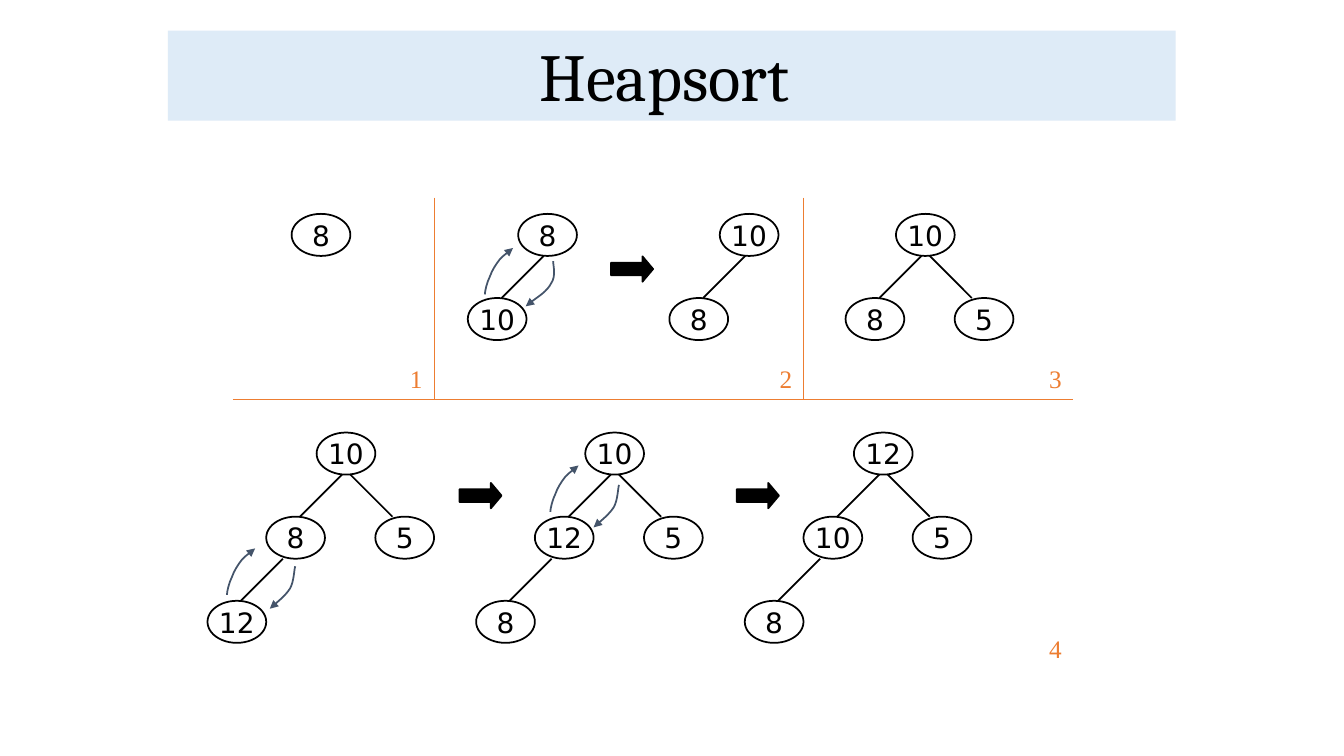
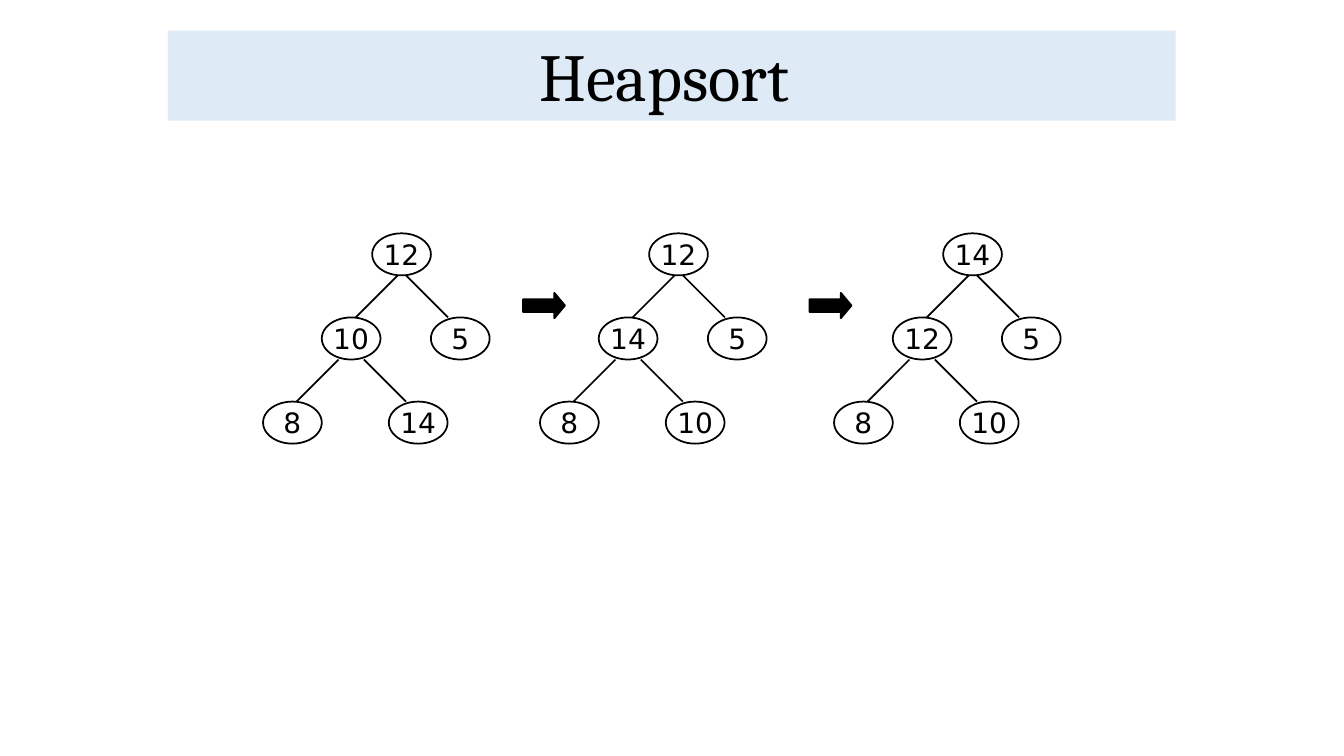
from lxml.etree import SubElement
from pptx import Presentation
from pptx.dml.color import RGBColor
from pptx.enum.shapes import MSO_CONNECTOR as Link, MSO_SHAPE as Shape
from pptx.enum.text import MSO_ANCHOR as Anchor, PP_ALIGN as Align
from pptx.oxml.ns import qn
from pptx.util import Cm, Pt

# Node size and level height
WIDE, HIGH, STEP = 1.48, 1.06, 2.12
# Heap order: node offset from the root, level, edge start, edge direction
SLOTS = [(0, 0, 0, 0), (-1.27, 1, 0.64, -1), (1.48, 1, 0.85, 1),
         (-2.75, 2, -0.85, -1), (0.42, 2, -0.21, 1)]
# Bezier points of the swap arrows, from their start
RISE = [(0, -0.08), (0.05, -0.3), (0.13, -0.46), (0.18, -0.61), (0.28, -0.76),
        (0.38, -0.89), (0.48, -0.99), (0.63, -1.1), (0.71, -1.17)]
FALL = [(-0.03, 0.1), (-0.03, 0.38), (-0.13, 0.56),
        (-0.25, 0.74), (-0.53, 0.97), (-0.64, 1.07)]
BULGE = [(0, 0.1), (0.08, 0.38), (-0.05, 0.56),
         (-0.15, 0.76), (-0.56, 1.02), (-0.69, 1.14)]


def color(code):
    return RGBColor.from_string(code)


class Deck:
    INK, BAND, RULE, SWAP = "000000", "DEEBF7", "ED7D31", "44546A"

    def __init__(self):
        self.prs = Presentation()
        self.prs.slide_width, self.prs.slide_height = Cm(33.87), Cm(19.05)

    def slide(self, title):
        page = self.prs.slides.add_slide(self.prs.slide_layouts[6])
        self.items = page.shapes
        band = self.shape(Shape.RECTANGLE, 4.23, 0.77, 25.4, 2.27, self.BAND)
        band.text_frame.vertical_anchor = Anchor.BOTTOM
        para = self.label(band, title, 48, "Cambria", self.INK, Align.CENTER)
        para.line_spacing = 0.9

    def shape(self, kind, x, y, w, h, fill=None, line=None):
        item = self.items.add_shape(kind, Cm(x), Cm(y), Cm(w), Cm(h))
        item.shadow.inherit = False
        if fill:
            item.fill.solid()
            item.fill.fore_color.rgb = color(fill)
        else:
            item.fill.background()
        if line:
            self.stroke(item, line, 1.25)
        else:
            item.line.fill.background()
        return item

    def stroke(self, item, code, width):
        item.line.color.rgb = color(code)
        item.line.width = Pt(width)

    def label(self, item, text, size, face, code, align):
        para = item.text_frame.paragraphs[0]
        para.text, para.alignment = text, align
        font = para.font
        font.size, font.name, font.color.rgb = Pt(size), face, color(code)
        return para

    def line(self, x1, y1, x2, y2, code, width):
        item = self.items.add_connector(
            Link.STRAIGHT, Cm(x1), Cm(y1), Cm(x2), Cm(y2))
        self.stroke(item, code, width)
        SubElement(item._element.spPr, qn("a:effectLst"))

    def node(self, x, y, key):
        item = self.shape(Shape.OVAL, x, y, WIDE, HIGH, line=self.INK)
        frame = item.text_frame
        frame.word_wrap, frame.vertical_anchor = False, Anchor.MIDDLE
        frame.margin_top = frame.margin_bottom = 0
        self.label(item, str(key), 20, "DejaVu Sans", self.INK, Align.CENTER)

    def tree(self, x, y, *keys):
        for key, (dx, level, start, turn) in zip(keys, SLOTS):
            top = y + level * STEP
            self.node(x + dx, top, key)
            if level:
                self.line(x + start, top - STEP + HIGH,
                          x + start + turn * HIGH, top, self.INK, 1.25)

    def arrow(self, x, y):
        item = self.shape(Shape.RIGHT_ARROW, x, y, 1.06, 0.64,
                          self.INK, self.INK)
        item.adjustments[0], item.adjustments[1] = 0.5, 0.42

    def swap(self, x, y, curve):
        form = self.items.build_freeform(Cm(x), Cm(y))
        form.add_line_segments([(Cm(x + dx), Cm(y + dy)) for dx, dy in curve],
                               close=False)
        item = form.convert_to_shape()
        item.shadow.inherit = False
        item.fill.background()
        self.stroke(item, self.SWAP, 1.25)
        outline = item._element.spPr.find(qn("a:ln"))
        SubElement(outline, qn("a:tailEnd"), type="triangle")
        # Turn each three straight segments into one curve
        trace = next(item._element.iter(qn("a:path")))
        for i, seg in enumerate(trace.findall(qn("a:lnTo"))):
            if i % 3 == 0:
                bend = SubElement(trace, qn("a:cubicBezTo"))
            bend.append(seg[0])
            trace.remove(seg)

    def number(self, x, y, text):
        box = self.items.add_textbox(Cm(x), Cm(y), Cm(1.06), Cm(1.02))
        box.text_frame.word_wrap = True
        self.label(box, text, 18, "Times New Roman", self.RULE, Align.LEFT)


def main():
    deck = Deck()

    # First slide: panel rules and numbers
    deck.slide("Heapsort ")
    deck.line(5.87, 10.06, 27.03, 10.06, deck.RULE, 0.5)
    for x in (10.95, 20.24):
        deck.line(x, 4.98, x, 10.06, deck.RULE, 0.5)
    for x, y, text in [(10.08, 9.03, "1"), (19.4, 9.03, "2"),
                       (26.19, 9.03, "3"), (26.19, 15.84, "4")]:
        deck.number(x, y, text)

    # Upper panels
    for x, keys in [(7.35, [8]), (13.06, [8, 10]), (18.14, [10, 8]),
                    (22.58, [10, 8, 5])]:
        deck.tree(x, 5.39, *keys)
    deck.arrow(15.4, 6.46)

    # Lower panel
    for x, keys in [(7.98, [10, 8, 5, 12]), (14.75, [10, 12, 5, 8]),
                    (21.52, [12, 10, 5, 8])]:
        deck.tree(x, 10.9, *keys)
    for x in (11.58, 18.57):
        deck.arrow(x, 12.17)

    # Swaps
    for x, y, curve in [(12.22, 7.42, RISE), (13.94, 6.58, BULGE),
                        (5.72, 14.99, RISE), (7.44, 14.27, FALL),
                        (13.87, 12.9, RISE), (15.6, 12.22, FALL)]:
        deck.swap(x, y, curve)

    # Second slide
    deck.slide("Heapsort ")
    for x, keys in [(9.38, [12, 10, 5, 8, 14]), (16.36, [12, 14, 5, 8, 10]),
                    (23.77, [14, 12, 5, 8, 10])]:
        deck.tree(x, 5.88, *keys)
    for x in (13.18, 20.4):
        deck.arrow(x, 7.38)

    deck.prs.save("out.pptx")


if __name__ == "__main__":
    main()
